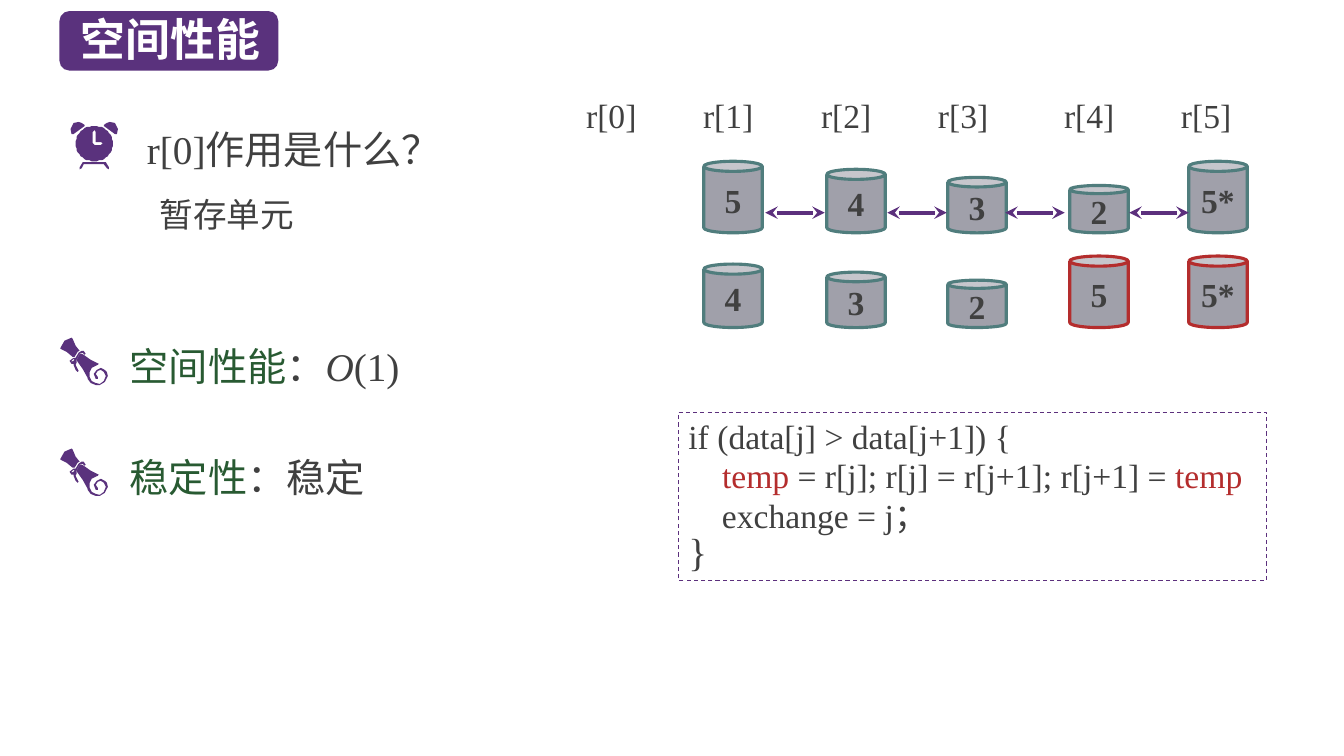
from math import cos, pi, sin

from lxml.etree import SubElement
from pptx import Presentation
from pptx.dml.color import RGBColor
from pptx.enum.dml import MSO_LINE_DASH_STYLE as Dash
from pptx.enum.shapes import MSO_CONNECTOR as Connector, MSO_SHAPE as Shape
from pptx.enum.text import MSO_ANCHOR as Anchor, MSO_AUTO_SIZE as AutoSize, PP_ALIGN as Align
from pptx.oxml.ns import qn
from pptx.util import Inches, Pt

PURPLE = RGBColor(0x5A, 0x32, 0x7D)
VIOLET = RGBColor(0x5C, 0x30, 0x7D)
DARK = RGBColor(0x40, 0x40, 0x40)
GREEN = RGBColor(0x28, 0x5A, 0x32)
RED = RGBColor(0xB4, 0x2D, 0x2D)
TEAL = RGBColor(0x50, 0x7D, 0x7D)
GRAY = RGBColor(0xA0, 0xA0, 0xAA)
WHITE = RGBColor(0xFF, 0xFF, 0xFF)

SERIF = "Times New Roman"
SANS = "Noto Sans CJK SC"

# Icon outlines are in hundredths of an inch; each piece is a list of contours.
SCROLL = [
    [[(74, 354), (77, 349), (79, 348), (75, 343), (72, 336), (71, 335), (64, 338),
      (60, 345), (60, 346), (66, 349), (72, 354)]],
    [[(104, 367), (100, 365), (96, 367), (93, 371), (95, 376), (97, 376), (97, 374),
      (95, 371), (97, 368), (100, 367), (103, 369), (105, 373), (103, 378), (99, 381),
      (95, 380), (91, 378), (89, 374), (89, 369), (91, 365), (97, 362), (98, 361),
      (90, 357), (83, 352), (81, 351), (79, 351), (77, 355), (76, 357), (77, 359),
      (82, 366), (87, 375), (87, 376), (90, 380), (95, 382), (99, 382), (104, 379),
      (107, 373), (106, 369)]],
    [[(77, 369), (75, 367), (73, 362), (73, 361), (71, 361), (69, 358), (73, 355),
      (75, 355), (78, 350), (81, 348), (83, 348), (85, 351), (84, 352), (82, 350),
      (79, 351), (77, 355), (76, 357), (76, 360), (75, 362), (77, 366), (78, 368)],
     [(73, 356), (71, 358), (71, 359), (73, 358), (74, 357)]],
]
LEFT_BELL = [(78, 121), (73, 122), (70, 128), (71, 133), (73, 133), (84, 125), (84, 124),
             (81, 122)]
CLOCK_FACE = [(93.5 + 18.5 * cos(step * pi / 24), 142.5 + 17.5 * sin(step * pi / 24))
              for step in range(48)]
CLOCK_HANDS = [(100, 144), (94, 144), (92, 142), (92, 131), (94, 129), (95, 131),
               (95, 141), (100, 141), (102, 142)]
CLOCK = [
    [[(108, 166), (105, 161), (82, 161), (79, 166), (79, 168), (81, 167), (83, 163),
      (103, 163), (106, 167), (108, 168)]],
    [LEFT_BELL],
    [[(187 - x, y) for x, y in LEFT_BELL]],
    [CLOCK_FACE, CLOCK_HANDS],
]

COLUMNS = [6.98, 8.2, 9.4, 10.61, 11.79]
ARROW_STARTS = [7.59, 8.8, 9.97, 11.2]
INDEX_TABS = [1.16, 2.33, 3.49, 4.74, 5.9]


class SlideBuilder:
    def __init__(self, slide):
        self.slide = slide
        self.shapes = slide.shapes

    def style_run(self, run, size, color=DARK, font=SERIF, bold=False, italic=False):
        run.font.name = font
        run.font.size = Pt(size)
        run.font.color.rgb = color
        run.font.bold = bold
        run.font.italic = italic
        SubElement(run.font._element, qn("a:ea"), typeface=SANS)

    def add_runs(self, paragraph, parts, size):
        """Append (text, color, italic) parts to the paragraph."""
        for text, color, italic in parts:
            run = paragraph.add_run()
            run.text = text
            self.style_run(run, size, color, italic=italic)

    def title(self, text):
        badge = self.shapes.add_shape(Shape.ROUNDED_RECTANGLE, Inches(0.59), Inches(0.11),
                                      Inches(2.17), Inches(0.59))
        badge.shadow.inherit = False
        badge.fill.solid()
        badge.fill.fore_color.rgb = PURPLE
        badge.line.fill.background()
        title = self.shapes.title
        title.element.addprevious(badge.element)
        title.left, title.top = Inches(0.7), Inches(0.07)
        title.width, title.height = Inches(2.1), Inches(0.64)
        frame = title.text_frame
        frame.text = text
        frame.auto_size = AutoSize.NONE
        frame.vertical_anchor = Anchor.TOP
        frame.paragraphs[0].alignment = Align.LEFT
        self.style_run(frame.paragraphs[0].runs[0], 32, WHITE, SANS, bold=True)

    def text_line(self, left, top, width, height, parts, size, tabs=()):
        box = self.shapes.add_textbox(Inches(left), Inches(top), Inches(width), Inches(height))
        frame = box.text_frame
        frame.word_wrap = True
        frame.margin_left = Inches(0.1) + Pt(size / 4)
        paragraph = frame.paragraphs[0]
        if tabs:
            tab_list = SubElement(paragraph._p.get_or_add_pPr(), qn("a:tabLst"))
            for position in tabs:
                SubElement(tab_list, qn("a:tab"), pos=str(Inches(position)), algn="l")
        paragraph.line_spacing = 1.3
        self.add_runs(paragraph, parts, size)

    def icon(self, pieces, drop=0):
        """Draw the pieces as one group, moved down by drop hundredths of an inch."""
        group = self.shapes.add_group_shape()
        for contours in pieces:
            moved = [[(x, y + drop) for x, y in contour] for contour in contours]
            builder = group.shapes.build_freeform(*moved[0][0], scale=Inches(0.01))
            builder.add_line_segments(moved[0][1:], close=True)
            for contour in moved[1:]:
                builder.move_to(*contour[0])
                builder.add_line_segments(contour[1:], close=True)
            piece = builder.convert_to_shape()
            piece.shadow.inherit = False
            piece.fill.solid()
            piece.fill.fore_color.rgb = PURPLE
            piece.line.fill.background()

    def can(self, left, bottom, label, outline):
        """Draw a can whose height follows its key."""
        height = 0.31 + 0.08 * int(label[0])
        can = self.shapes.add_shape(Shape.CAN, Inches(left), Inches(bottom - height),
                                    Inches(0.58), Inches(height))
        can.shadow.inherit = False
        can.adjustments[0] = 0.173
        can.fill.solid()
        can.fill.fore_color.rgb = GRAY
        can.line.color.rgb = outline
        can.line.width = Pt(2.25)
        frame = can.text_frame
        frame.text = label
        frame.word_wrap = False
        frame.vertical_anchor = Anchor.MIDDLE
        frame.paragraphs[0].alignment = Align.CENTER
        self.style_run(frame.paragraphs[0].runs[0], 24, bold=True)

    def swap_arrow(self, left):
        arrow = self.shapes.add_connector(Connector.STRAIGHT, Inches(left), Inches(2.11),
                                          Inches(left + 0.59), Inches(2.11))
        arrow.line.color.rgb = VIOLET
        arrow.line.width = Pt(3)
        line = arrow.line._get_or_add_ln()
        for end in ("a:headEnd", "a:tailEnd"):
            SubElement(line, qn(end), type="stealth")
        SubElement(arrow.element.spPr, qn("a:effectLst"))

    def code(self, lines):
        box = self.shapes.add_shape(Shape.RECTANGLE, Inches(6.73), Inches(4.09),
                                    Inches(5.83), Inches(1.67))
        box.shadow.inherit = False
        box.fill.background()
        box.line.color.rgb = VIOLET
        box.line.width = Pt(0.75)
        box.line.dash_style = Dash.DASH
        frame = box.text_frame
        frame.word_wrap = True
        frame.vertical_anchor = Anchor.TOP
        for number, (size, parts) in enumerate(lines):
            paragraph = frame.add_paragraph() if number else frame.paragraphs[0]
            paragraph.alignment = Align.LEFT
            paragraph.line_spacing = Pt(28)
            self.add_runs(paragraph, parts, size)


def main():
    presentation = Presentation()
    presentation.slide_width, presentation.slide_height = Inches(13.33), Inches(7.5)
    builder = SlideBuilder(presentation.slides.add_slide(presentation.slide_layouts[5]))

    builder.title("空间性能")
    builder.icon(CLOCK)
    builder.text_line(1.26, 1.05, 4.25, 0.71, [("r[0]作用是什么？", DARK, False)], 28)
    builder.text_line(1.4, 1.76, 3.22, 0.63, [("暂存单元", DARK, False)], 24)
    builder.icon(SCROLL)
    builder.text_line(1.09, 3.21, 4.25, 0.71, [
        ("空间性能", GREEN, False), ("：", DARK, False), ("O", DARK, True),
        ("(1)", DARK, False)], 28)
    builder.icon(SCROLL, drop=110)
    builder.text_line(1.09, 4.31, 4.25, 0.71, [
        ("稳定性", GREEN, False), ("：稳定", DARK, False)], 28)

    indexes = "\t".join(f"r[{index}]" for index in range(6))
    builder.text_line(5.63, 0.77, 6.94, 0.63, [(indexes, DARK, False)], 24, INDEX_TABS)
    for left, before, after in zip(COLUMNS, ["5", "4", "3", "2", "5*"],
                                   ["4", "3", "2", "5", "5*"]):
        builder.can(left, 2.31, before, TEAL)
        builder.can(left, 3.25, after, RED if after[0] == "5" else TEAL)
    for left in ARROW_STARTS:
        builder.swap_arrow(left)

    builder.code([
        (24, [("if (data[j] > data[j+1]) {", DARK, False)]),
        (24, [("    ", DARK, False), ("temp", RED, False),
              (" = r[j]; r[j] = r[j+1]; r[j+1] = ", DARK, False), ("temp", RED, False)]),
        (24, [("    exchange = j；", DARK, False)]),
        (28, [("}", DARK, False)]),
    ])
    presentation.save("out.pptx")


if __name__ == "__main__":
    main()
